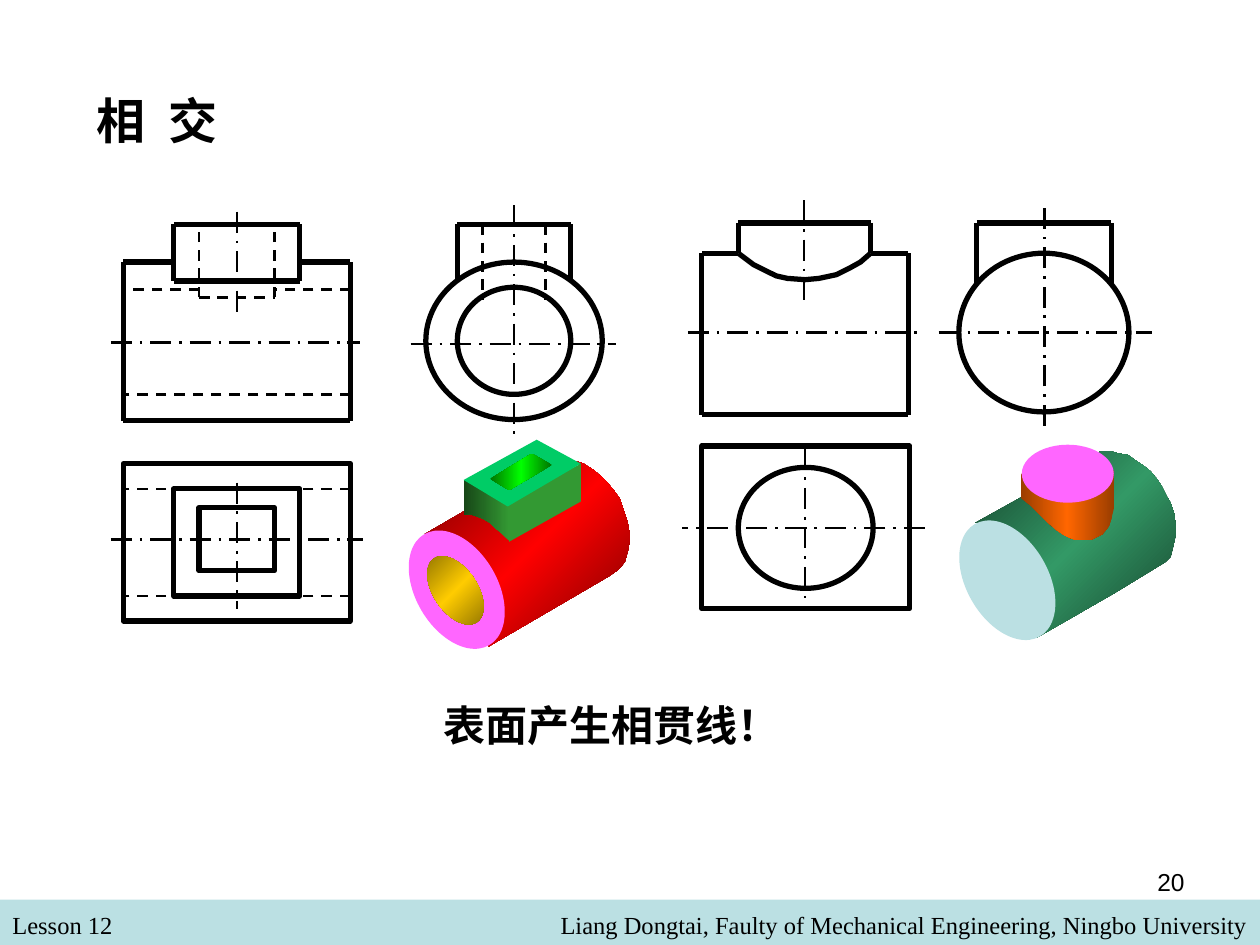
import dataclasses

import lxml.etree
import pptx
import pptx.dml.color
import pptx.enum.dml
import pptx.enum.shapes
import pptx.enum.text
import pptx.oxml.ns
import pptx.util

SHAPES = pptx.enum.shapes.MSO_SHAPE
DASHES = pptx.enum.dml.MSO_LINE
RIGHT = pptx.enum.text.PP_ALIGN.RIGHT
COLUMNS, ROWS = 100, 75
CELL = pptx.util.Inches(10) // COLUMNS


@dataclasses.dataclass(frozen=True)
class Theme:
    """Colours, fonts, type sizes and line weights."""
    ink: str = "000000"
    pale: str = "BBE0E3"
    pink: str = "FF66FF"
    boss_side: str = "339933"
    boss_top: str = "00CC66"
    red: tuple = ("750000", "FF0000", "750000")
    gold: tuple = ("755E00", "FFCC00", "755E00")
    lime: tuple = ("007500", "00FF00", "007500")
    shade: tuple = ("339933", "174617")
    teal: tuple = ("15412B", "339966", "15412B")
    orange: tuple = ("9A3D00", "FF6600", "9A3D00")
    serif: str = "Times New Roman"
    heading: str = "Lato"
    sans: str = "Arial"
    title: int = 28
    caption: int = 24
    small: int = 14
    thick: float = 3
    thin: float = 1.5


THEME = Theme()


def rgb(colour):
    """Return a colour object for a hex string."""
    return pptx.dml.color.RGBColor.from_string(colour)


@dataclasses.dataclass
class Box:
    """A region of the slide grid that draws parts in its own cells."""
    slide: object
    left: float
    top: float
    width: float
    height: float

    def at(self, x, y):
        """Return the slide position of a local grid point."""
        return round((self.left + x) * CELL), round((self.top + y) * CELL)

    def line(self, start, end, weight=THEME.thick, dash=None):
        """Draw one straight line."""
        line = self.slide.shapes.add_connector(
            pptx.enum.shapes.MSO_CONNECTOR.STRAIGHT, *self.at(*start), *self.at(*end))
        line.line.color.rgb = rgb(THEME.ink)
        line.line.width = pptx.util.Pt(weight)
        line.line.dash_style = dash
        lxml.etree.SubElement(line._element.spPr, pptx.oxml.ns.qn("a:effectLst"))

    def edges(self, *points):
        """Draw visible edges through successive points."""
        for start, end in zip(points, points[1:]):
            self.line(start, end)

    def hidden(self, start, end):
        """Draw a hidden edge."""
        self.line(start, end, THEME.thin, DASHES.DASH)

    def axes(self, across, down):
        """Draw centre lines given as (row, from, to) and (column, from, to)."""
        row, first, last = across
        self.line((first, row), (last, row), THEME.thin, DASHES.LONG_DASH_DOT)
        column, first, last = down
        self.line((column, first), (column, last), THEME.thin, DASHES.LONG_DASH_DOT)

    def shape(self, kind, x, y, width, height, fill=None, angle=0, turn=0):
        """Place a preset shape, outlined unless it has a fill."""
        shape = self.slide.shapes.add_shape(
            kind, *self.at(x, y), round(width * CELL), round(height * CELL))
        shape.rotation = turn
        paint(shape, fill, angle)

    def outline(self, points, fill=None, angle=0):
        """Build a filled polygon or an open curve."""
        start, *rest = [self.at(*point) for point in points]
        builder = self.slide.shapes.build_freeform(*start, scale=1.0)
        builder.add_line_segments(rest, close=fill is not None)
        paint(builder.convert_to_shape(), fill, angle)

    def text(self, words, size, font, bold=False, align=None, wrap=True, spacing=0):
        """Fill the box with one paragraph of text."""
        frame = self.slide.shapes.add_textbox(
            *self.at(0, 0), round(self.width * CELL), round(self.height * CELL)).text_frame
        frame.word_wrap = wrap
        paragraph = frame.paragraphs[0]
        paragraph.text = words
        paragraph.alignment = align
        run = paragraph.runs[0]
        run.font.size, run.font.name, run.font.bold = pptx.util.Pt(size), font, bold
        run.font.color.rgb = rgb(THEME.ink)
        if spacing:
            run.font._element.set("spc", str(spacing))


def paint(shape, fill, angle):
    """Give a shape an outline, a plain fill or a gradient."""
    shape.shadow.inherit = False
    if fill is None:
        shape.fill.background()
        shape.line.color.rgb = rgb(THEME.ink)
        shape.line.width = pptx.util.Pt(THEME.thick)
        return
    shape.line.fill.background()
    if isinstance(fill, str):
        shape.fill.solid()
        shape.fill.fore_color.rgb = rgb(fill)
        return
    qn, sub = pptx.oxml.ns.qn, lxml.etree.SubElement
    shape.fill.gradient()
    gradient = shape._element.spPr.find(qn("a:gradFill"))
    gradient.set("rotWithShape", "0")
    for child in list(gradient):
        gradient.remove(child)
    stops = sub(gradient, qn("a:gsLst"))
    for index, colour in enumerate(fill):
        stop = sub(stops, qn("a:gs"), pos=str(index * 100000 // (len(fill) - 1)))
        sub(stop, qn("a:srgbClr"), val=colour)
    sub(gradient, qn("a:lin"), ang=str(angle * 60000), scaled="0")


def body_front(box, boss_left, boss_right, shoulder):
    """Draw the body and the boss walls shared by both front views."""
    box.edges((boss_left, shoulder), (0, shoulder), (0, box.height),
              (box.width, box.height), (box.width, shoulder), (boss_right, shoulder))


def boss_walls(box, left, right, depth):
    """Draw the top and the two walls of a boss."""
    box.edges((left, depth), (left, 0), (right, 0), (right, depth))


def tube_front(box):
    """Draw the front view of the tube with a square boss."""
    body_front(box, 4, 14, 3)
    boss_walls(box, 4, 14, 4.5)
    box.edges((4, 4.5), (14, 4.5))
    for start, end in (((18, 5.2), (12, 5.2)), ((6, 5.2), (0, 5.2)), ((18, 13.5), (0, 13.5)),
                       ((6, 5.8), (6, 0)), ((6, 5.8), (12, 5.8)), ((12, 5.8), (12, 0))):
        box.hidden(start, end)
    box.axes((9.4, -1, 18.8), (9, -1, 7))


def tube_side(box):
    """Draw the side view of the tube with a square boss."""
    box.shape(SHAPES.OVAL, 0, 3, box.width, box.height - 3)
    box.shape(SHAPES.OVAL, 2.5, 5, 9, 8.5)
    boss_walls(box, 2.5, 11.5, 4.4)
    for column in (4.5, 9.5):
        box.hidden((column, 0), (column, 6))
    box.axes((9.5, -1.2, 15.1), (7, -1.5, 17))


def tube_plan(box):
    """Draw the plan of the tube with a square boss."""
    box.shape(SHAPES.RECTANGLE, 0, 0, box.width, box.height)
    box.shape(SHAPES.RECTANGLE, 4, 2, 10, 8.5)
    box.shape(SHAPES.RECTANGLE, 6, 3.5, 6, 5)
    for row in (2, 10.5):
        box.hidden((box.width, row), (0, row))
    box.axes((6, -1, 19), (9, 1.5, 11.5))


def tube_solid(box):
    """Draw the shaded tube with its square boss."""
    box.outline([
        (.7, 8.4), (3.8, 6.6), (4.2, 6.4), (4.6, 6.6), (5.3, 6.8), (5.7, 7), (5.9, 7.4), (6.3, 7.6),
        (6.8, 8), (7.1, 8.2), (7.4, 8.9), (13.1, 5.5), (13.1, 3), (12.7, 2.6), (13.3, 2.8),
        (14.1, 3.3), (14.8, 3.9), (15.2, 4.3), (15.7, 4.9), (16.2, 5.6), (16.5, 6.5), (16.8, 7.4),
        (17, 8.5), (16.9, 9.5), (16.6, 10.6), (16.1, 11.2), (15.4, 11.7), (5.8, 17.3), (5.7, 16.3),
        (6.9, 15.5), (7, 14.7), (6.9, 13.7), (6.6, 12.8), (6.1, 11.8), (5.7, 10.8), (5.2, 10.2),
        (4.6, 9.7), (3.7, 9.1), (2.8, 8.5), (2.1, 8.2), (1.4, 8.3)], THEME.red, 225)
    box.shape(SHAPES.OVAL, 0, 7.7, 6.5, 10.2, THEME.pink, turn=329.6)
    box.outline([(3.8, 4.1), (7.4, 6.2), (7.4, 8.9), (6.8, 8.3), (6.3, 7.9), (5.9, 7.5),
                 (5.4, 7.2), (4.9, 7), (4.3, 6.8), (3.8, 6.8)], THEME.shade, 180)
    box.outline([(7.2, 5.9), (7.4, 6.6), (7.4, 9), (13.1, 5.8), (13.1, 2.8)], THEME.boss_side)
    box.outline([(3.8, 4.1), (7.3, 6.2), (13.1, 2.8), (9.6, .9)], THEME.boss_top)
    box.outline([(5.9, 4), (9.2, 2), (10.8, 2.9), (7.4, 4.9)], THEME.lime, 180)
    box.shape(SHAPES.OVAL, 1.4, 9.8, 3.5, 6.1, THEME.gold, 225, 326.1)


def rod_front(box):
    """Draw the front view of the rod with a round boss."""
    body_front(box, 2.9, 13.4, 2.4)
    boss_walls(box, 2.9, 13.4, 2.4)
    box.outline([(2.9, 2.4), (4.1, 3.3), (5.1, 3.8), (5.9, 4.2), (6.8, 4.4), (8.2, 4.5),
                 (9.3, 4.4), (10.7, 4.1), (11.7, 3.6), (12.6, 3.1), (13.4, 2.4)])
    box.axes((8.7, -1.1, 17.5), (8.1, -1.8, 6.4))


def rod_side(box):
    """Draw the side view of the rod with a round boss."""
    boss_walls(box, 1.4, 12.1, 4.9)
    box.shape(SHAPES.OVAL, 0, 2.4, box.width, box.height - 2.4)
    box.axes((8.7, -1.6, 15.3), (6.8, 16.1, -1.3))


def rod_plan(box):
    """Draw the plan of the rod with a round boss."""
    box.shape(SHAPES.RECTANGLE, 0, 0, box.width, box.height)
    box.shape(SHAPES.OVAL, 2.9, 1.7, 10.7, 9.6)
    box.axes((6.5, 17.7, -1.6), (8.2, .2, 12.5))


def rod_solid(box):
    """Draw the shaded rod with its round boss."""
    box.outline([
        (1.4, 6.5), (5, 4.5), (5.9, 4.9), (6.6, 5.3), (7, 5.7), (7.5, 6.5), (8.8, 7.2), (10.2, 7.5),
        (11.5, 7.3), (11.8, 6.7), (12.1, 5.6), (12.2, 4.6), (12.4, 3.5), (12, 2.3), (11.7, 1.6),
        (11, 1), (11.4, .8), (12.1, .8), (12.8, 1), (13.5, 1.1), (14.2, 1.6), (14.8, 2),
        (15.3, 2.4), (15.8, 3), (16.2, 3.6), (16.6, 4.4), (16.9, 4.9), (17.2, 5.8), (17.3, 6.7),
        (17.3, 7.5), (17.1, 8.4), (16.9, 9.2), (16.5, 9.6), (12.4, 12.1), (6.3, 15.6), (6.9, 14.7),
        (7.5, 13.8), (7.6, 12.3), (7.2, 11), (6.7, 9.7), (6.2, 8.9), (5.5, 8.2), (4.6, 7.3),
        (3.2, 6.7), (2.3, 6.5)], THEME.teal, 225)
    box.shape(SHAPES.OVAL, .7, 5.9, 6.5, 10.3, THEME.pale, turn=330)
    box.outline([
        (5, 2.5), (5, 4.5), (5.9, 5.2), (6.6, 5.9), (7.2, 6.5), (7.9, 7.1), (8.5, 7.5), (9.2, 7.8),
        (9.8, 7.9), (10.5, 7.9), (10.9, 7.7), (11.5, 7.4), (12, 6.8), (12.2, 6.2), (12.4, 5.4),
        (12.4, 2.3), (12, 3.2), (11.7, 3.8), (11.1, 4.2), (10.4, 4.4), (9.9, 4.5), (9, 4.7),
        (8.5, 4.7), (7.5, 4.6), (7, 4.3), (6.3, 4.1), (5.7, 3.6), (5.4, 3.3)], THEME.orange, 180)
    box.shape(SHAPES.OVAL, 5.1, .3, 7.3, 4.6, THEME.pink)


def footer(box):
    """Draw the footer band with lesson, author and page number."""
    box.shape(SHAPES.RECTANGLE, 0, 0, box.width, box.height, THEME.pale)
    slide, row = box.slide, box.top + .3
    Box(slide, 0, row, 48.3, 3.4).text("Lesson 12", THEME.small, THEME.serif)
    Box(slide, 18.3, row, 81.7, 3.4).text(
        "Liang Dongtai, Faulty of Mechanical Engineering, Ningbo University",
        THEME.small, THEME.serif, align=RIGHT)
    Box(slide, 71.7, box.top - 3.1, 23.3, 5.2).text("20", THEME.small, THEME.sans, align=RIGHT)


def main():
    """Build and save the slide."""
    deck = pptx.Presentation()
    deck.slide_width, deck.slide_height = COLUMNS * CELL, ROWS * CELL
    slide = deck.slides.add_slide(deck.slide_layouts[6])
    footer(Box(slide, 0, 71.4, COLUMNS, 3.6))
    Box(slide, 6.7, 6.7, 55.8, 5.7).text("相 交", THEME.title, THEME.heading, True, spacing=350)
    Box(slide, 34.2, 55, 28.6, 5).text(
        "表面产生相贯线！", THEME.caption, THEME.serif, True, wrap=False)
    for draw, *place in (
            (tube_front, 9.8, 17.8, 18, 15.6), (tube_side, 33.8, 17.8, 14, 15.5),
            (tube_plan, 9.8, 36.8, 18, 12.5), (tube_solid, 33, 34, 17, 18),
            (rod_front, 55.7, 17.7, 16.4, 15.2), (rod_side, 76.1, 17.7, 13.5, 15),
            (rod_plan, 55.7, 35.4, 16.5, 12.9), (rod_solid, 76, 35, 17.3, 16.2)):
        draw(Box(slide, *place))
    deck.save("out.pptx")


if __name__ == "__main__":
    main()
